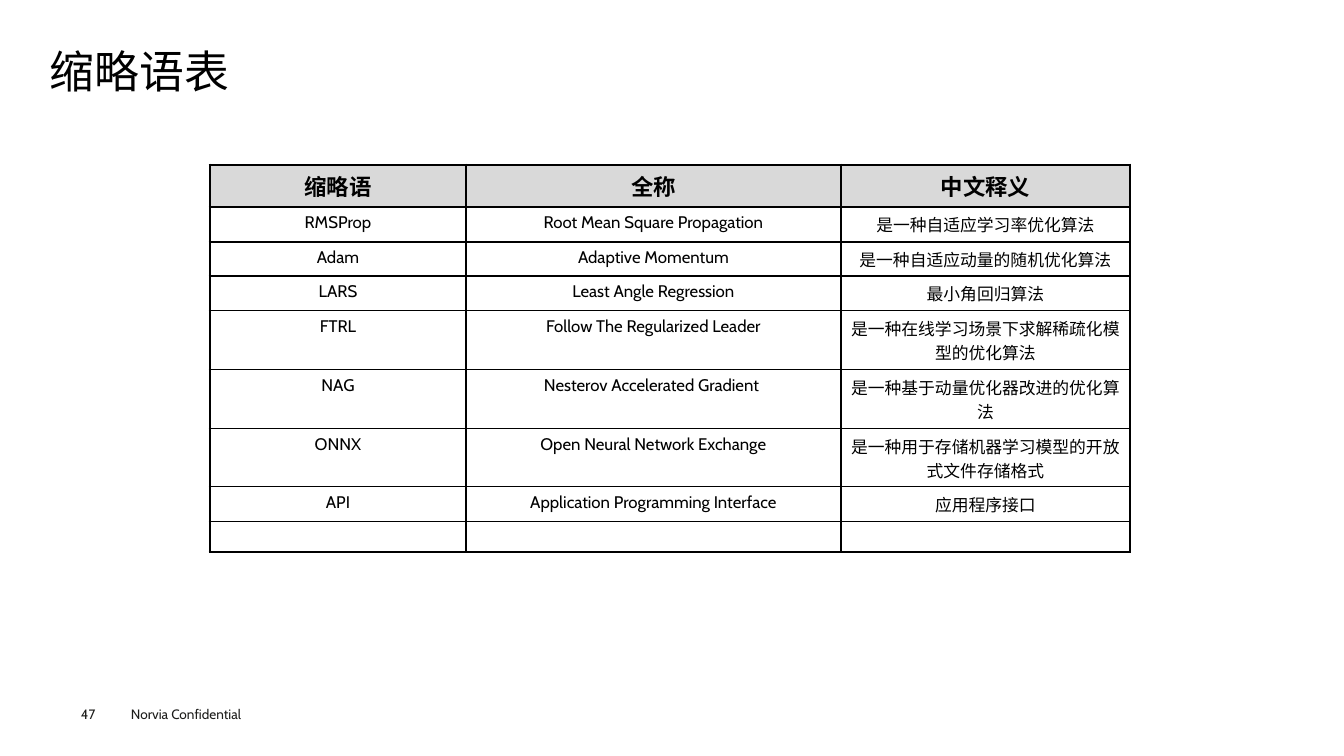
from lxml import etree
from pptx import Presentation
from pptx import util as u
from pptx.dml.color import RGBColor
from pptx.enum import lang, text
from pptx.oxml.ns import qn

# Content
TITLE = "缩略语表"
PAGE_NUMBER = "47"
FOOTER = "Norvia Confidential"
ROWS = [
    ("缩略语", "全称", "中文释义"),
    ("RMSProp", "Root Mean Square Propagation", "是一种自适应学习率优化算法"),
    ("Adam", "Adaptive Momentum", "是一种自适应动量的随机优化算法"),
    ("LARS", "Least Angle Regression", "最小角回归算法"),
    ("FTRL", "Follow The Regularized Leader", "是一种在线学习场景下求解稀疏化模型的优化算法"),
    ("NAG", "Nesterov Accelerated Gradient ", "是一种基于动量优化器改进的优化算法"),
    ("ONNX", "Open Neural Network Exchange", "是一种用于存储机器学习模型的开放式文件存储格式"),
    ("API", "Application Programming Interface", "应用程序接口"),
    ("", "", ""),
]

# Layout in px
SLIDE_WIDTH, SLIDE_HEIGHT = 1344, 756
TABLE_LEFT, TABLE_TOP = 210, 165
COLUMN_WIDTHS = (256, 375, 289)
ROW_HEIGHTS = (42, 35, 34, 35, 59, 59, 58, 35, 30)
INSET_X, INSET_Y = 10, 5

# Style
FONT = "Cabin"
BLACK = RGBColor(0x00, 0x00, 0x00)
FOOTER_INK = RGBColor(0x1D, 0x1D, 0x1B)
HEADER_FILL = RGBColor(0xD9, 0xD9, 0xD9)
HEADER_SIZE, BODY_SIZE = 16, 12
THICK, THIN = 2.25, 1


def px(length):
    return u.Emu(round(length * 12192000 / SLIDE_WIDTH))


def format_runs(paragraph, size, color, bold=False):
    for run in paragraph.runs:
        font = run.font
        font.name, font.size, font.bold = FONT, u.Pt(size), bold
        font.color.rgb = color
        font.language_id = lang.MSO_LANGUAGE_ID.SIMPLIFIED_CHINESE


def add_label(slide, words, box, size, color, insets=(0, 0), anchor=text.MSO_ANCHOR.TOP):
    frame = slide.shapes.add_textbox(*map(px, box)).text_frame
    frame.word_wrap = True
    frame.vertical_anchor = anchor
    frame.margin_left = frame.margin_right = px(insets[0])
    frame.margin_top = frame.margin_bottom = px(insets[1])
    frame.text = words
    format_runs(frame.paragraphs[0], size, color)
    return frame.paragraphs[0]


def set_borders(cell, widths):
    properties = cell._tc.get_or_add_tcPr()
    for position, (side, width) in enumerate(widths.items()):
        line = etree.Element(qn(f"a:ln{side}"), w=str(u.Pt(width)))
        fill = etree.SubElement(line, qn("a:solidFill"))
        etree.SubElement(fill, qn("a:srgbClr"), val=str(BLACK))
        properties.insert(position, line)


def fill_cell(cell, words, is_header):
    cell.margin_left = cell.margin_right = px(INSET_X)
    cell.margin_top = cell.margin_bottom = px(INSET_Y)
    cell.text = words
    size = HEADER_SIZE if is_header else BODY_SIZE
    paragraph = cell.text_frame.paragraphs[0]
    paragraph.alignment = text.PP_ALIGN.CENTER
    format_runs(paragraph, size, BLACK, bold=is_header)
    if not words:
        etree.SubElement(paragraph._p, qn("a:endParaRPr"), sz=str(size * 100))
    if is_header:
        cell.fill.solid()
        cell.fill.fore_color.rgb = HEADER_FILL
    else:
        cell.fill.background()


def add_glossary(slide):
    row_count, column_count = len(ROWS), len(COLUMN_WIDTHS)
    table = slide.shapes.add_table(
        row_count, column_count, px(TABLE_LEFT), px(TABLE_TOP),
        px(sum(COLUMN_WIDTHS)), px(sum(ROW_HEIGHTS))).table
    table.first_row = table.horz_banding = False
    for column, width in zip(table.columns, COLUMN_WIDTHS):
        column.width = px(width)
    for row_index, row in enumerate(ROWS):
        table.rows[row_index].height = px(ROW_HEIGHTS[row_index])
        for column_index, words in enumerate(row):
            cell = table.cell(row_index, column_index)
            fill_cell(cell, words, is_header=row_index == 0)
            # Thick outer frame, thin inner grid
            set_borders(cell, {
                "L": THICK if column_index == 0 else THIN,
                "R": THICK if column_index == column_count - 1 else THIN,
                "T": THICK if row_index == 0 else THIN,
                "B": THICK if row_index == row_count - 1 else THIN,
            })


def main():
    presentation = Presentation()
    presentation.slide_width = px(SLIDE_WIDTH)
    presentation.slide_height = px(SLIDE_HEIGHT)
    slide = presentation.slides.add_slide(presentation.slide_layouts[6])

    # Footer
    add_label(slide, FOOTER, (121, 701, 161, 27), 9.7, FOOTER_INK, (INSET_X, INSET_Y))
    add_label(slide, PAGE_NUMBER, (81, 706, 55, 16), 9.7, FOOTER_INK)

    # Title
    title = add_label(slide, TITLE, (50, 47, 1245, 54), 32, BLACK,
                      anchor=text.MSO_ANCHOR.MIDDLE)
    title.line_spacing = 0.9

    # Abbreviations
    add_glossary(slide)
    presentation.save("out.pptx")


if __name__ == "__main__":
    main()
